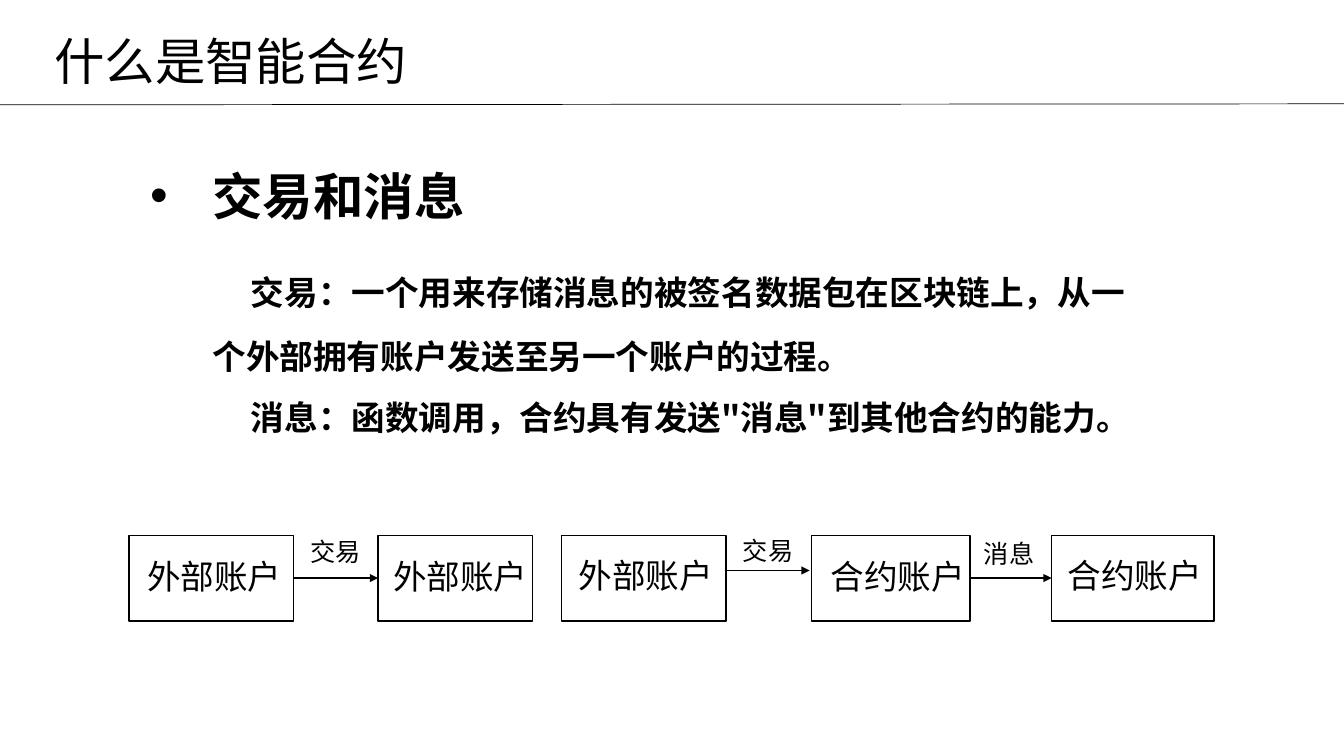
from lxml import etree
from pptx import Presentation
from pptx.dml.color import RGBColor
from pptx.enum.shapes import MSO_CONNECTOR, MSO_SHAPE
from pptx.enum.text import MSO_ANCHOR, MSO_AUTO_SIZE
from pptx.oxml.ns import qn
from pptx.util import Inches, Pt

COLORS = {"ink": "000000", "paper": "FFFFFF"}
FONT = "Noto Sans CJK SC"
ACCOUNT_TOP, ACCOUNT_HEIGHT = 5.31, 0.85
ACCOUNTS = [
    ("外部账户", 1.28, 1.63, 0.08, 0.16),
    ("外部账户", 3.75, 1.53, 0.05, 0.16),
    ("外部账户", 5.57, 1.63, 0.07, 0.15),
    ("合约账户", 8.05, 1.57, 0.09, 0.16),
    ("合约账户", 10.43, 1.61, 0.06, 0.15),
]
JOINED_FLOWS = [(0, 1, "交易", 2.98, 5.27), (3, 4, "消息", 9.66, 5.29)]


def ink():
    return RGBColor.from_string(COLORS["ink"])


def style_span(span, size, bold=False):
    span.font.name = FONT
    span.font.size = Pt(size)
    span.font.bold = bold
    span.font.color.rgb = ink()
    east_asian = etree.Element(qn("a:ea"), typeface=FONT)
    span.font._element.find(qn("a:latin")).addnext(east_asian)


def add_label(page, text, box, size, wrap=False):
    label = page.shapes.add_textbox(*map(Inches, box))
    frame = label.text_frame
    frame.word_wrap = wrap
    frame.auto_size = MSO_AUTO_SIZE.SHAPE_TO_FIT_TEXT
    frame.text = text
    style_span(frame.paragraphs[0].runs[0], size)


def add_line(page, start, end, width, arrow=False):
    line = page.shapes.add_connector(
        MSO_CONNECTOR.STRAIGHT, *map(Inches, (*start, *end)))
    line.line.color.rgb = ink()
    line.line.width = Pt(width)
    if arrow:
        etree.SubElement(line.line._get_or_add_ln(), qn("a:tailEnd"), type="triangle")
    etree.SubElement(line._element.spPr, qn("a:effectLst"))
    return line


def add_header(page, left, top, width, height):
    add_line(page, (0, top + 0.79), (13.33, top + 0.78), 0.5)
    add_label(page, "什么是智能合约", (left, top, width, height), 36, wrap=True)


def add_explanation(page, left, top, width, height):
    body = page.shapes.add_textbox(*map(Inches, (left, top, width, height)))
    frame = body.text_frame
    frame.word_wrap = True
    frame.auto_size = MSO_AUTO_SIZE.TEXT_TO_FIT_SHAPE
    frame.vertical_anchor = MSO_ANCHOR.MIDDLE
    para = frame.paragraphs[0]
    para.text = "交易和消息\v\t"
    para.line_spacing = 1.5
    para.space_before, para.space_after = Pt(20), Pt(15)
    for span in para.runs:
        style_span(span, 36, bold=True)
    transaction = para.add_run()
    transaction.text = "交易：一个用来存储消息的被签名数据包在区块链上，从一个外部拥有账户发送至另一个账户的过程。"
    para.add_line_break()
    message = para.add_run()
    message.text = "\t消息：函数调用，合约具有发送\"消息\"到其他合约的能力。"
    for span in (transaction, message):
        style_span(span, 24, bold=True)
    properties = para._p.get_or_add_pPr()
    properties.set("marL", str(Inches(0.62)))
    properties.set("indent", str(Inches(-0.62)))
    etree.SubElement(properties, qn("a:buFont"), typeface="Arial")
    etree.SubElement(properties, qn("a:buChar"), char="•")


def add_account(page, text, left, width, label_dx, label_dy):
    account = page.shapes.add_shape(
        MSO_SHAPE.RECTANGLE,
        *map(Inches, (left, ACCOUNT_TOP, width, ACCOUNT_HEIGHT)))
    account.shadow.inherit = False
    account.fill.background()
    account.line.color.rgb = ink()
    account.line.width = Pt(1)
    add_label(page, text, (left + label_dx, ACCOUNT_TOP + label_dy, 1.55, 0.5), 24)
    return account


def add_account_flow(page):
    accounts = [add_account(page, *account) for account in ACCOUNTS]
    for source, target, text, left, top in JOINED_FLOWS:
        arrow = add_line(page, (0, 0), (1, 0), 1, arrow=True)
        arrow.begin_connect(accounts[source], 3)
        arrow.end_connect(accounts[target], 1)
        add_label(page, text, (left, top, 0.71, 0.4), 18)
    add_line(page, (7.21, 5.66), (8.03, 5.66), 1, arrow=True)
    add_label(page, "交易", (7.27, 5.26, 0.71, 0.4), 18)


def main():
    deck = Presentation()
    deck.slide_width, deck.slide_height = Inches(13.33), Inches(7.5)
    page = deck.slides.add_slide(deck.slide_layouts[6])
    page.background.fill.solid()
    page.background.fill.fore_color.rgb = RGBColor.from_string(COLORS["paper"])
    add_explanation(page, 1.39, 1.25, 10, 3.17)
    add_header(page, 0.44, 0.25, 6.1, 0.71)
    add_account_flow(page)
    deck.save("out.pptx")


if __name__ == "__main__":
    main()
